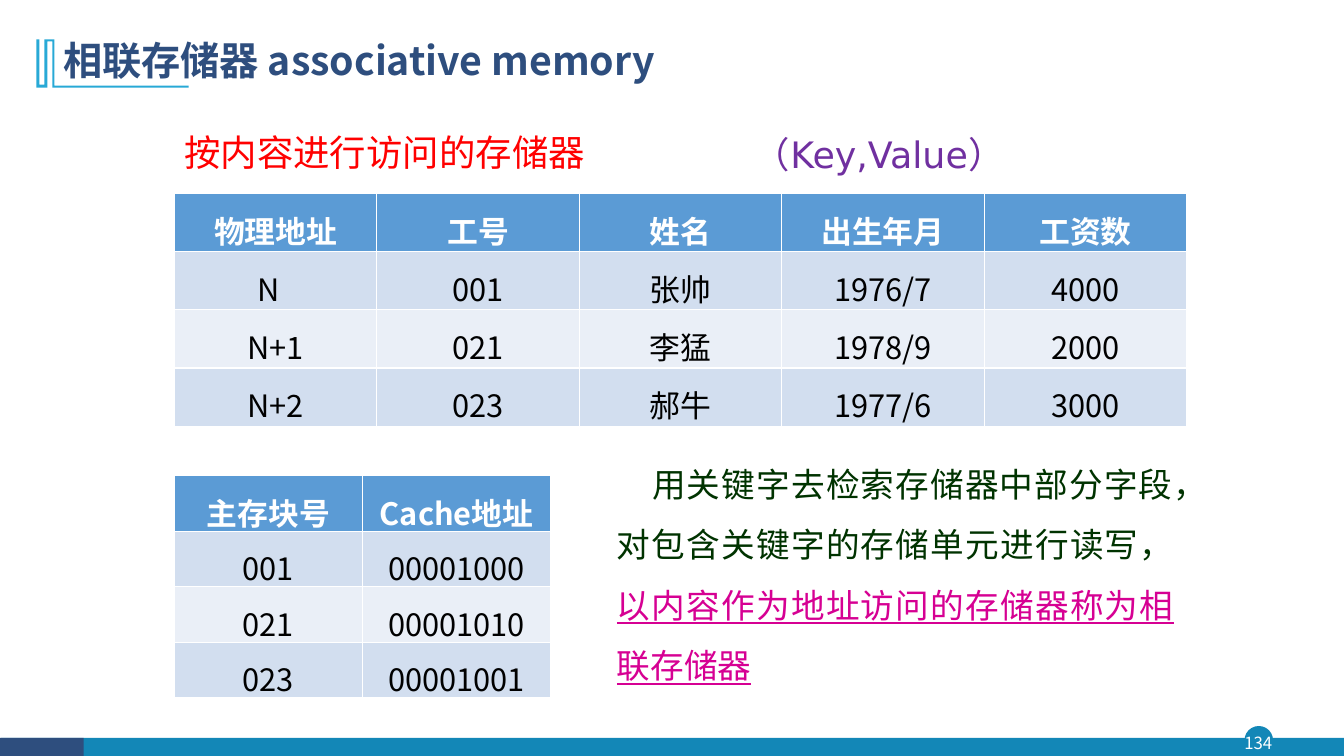
from lxml import etree
from pptx import Presentation
from pptx.dml.color import RGBColor
from pptx.enum.shapes import MSO_SHAPE
from pptx.enum.text import MSO_ANCHOR, PP_ALIGN
from pptx.oxml.ns import qn
from pptx.util import Inches, Pt

OVAL, RECTANGLE = MSO_SHAPE.OVAL, MSO_SHAPE.RECTANGLE
TOP, MIDDLE = MSO_ANCHOR.TOP, MSO_ANCHOR.MIDDLE
LEFT, CENTER, JUSTIFY = PP_ALIGN.LEFT, PP_ALIGN.CENTER, PP_ALIGN.JUSTIFY
NOTO, DEJAVU = "Noto Sans CJK SC", "DejaVu Sans"
TEAL, NAVY, SKY, WHITE = "1387B7", "2E4E7E", "28A9D6", "FFFFFF"


def color(value):
    return RGBColor.from_string(value)


def add_span(para, text, size, fill, bold=False, underline=False, face=NOTO):
    span = para.add_run()
    span.text = text
    font = span.font
    font.size = Pt(size)
    font.name = face
    font.bold = bold
    font.underline = underline
    font.color.rgb = color(fill)
    east_asian = etree.SubElement(span._r.get_or_add_rPr(), qn("a:ea"))
    east_asian.set("typeface", face)


deck = Presentation()
deck.slide_width = Inches(13.33)
deck.slide_height = Inches(7.5)
page = deck.slides.add_slide(deck.slide_layouts[6])

footer_shapes = [
    (OVAL, 12.35, 7.21, 0.27, 0.27, TEAL),
    (RECTANGLE, 0.01, 7.32, 13.32, 0.19, TEAL),
    (RECTANGLE, 0, 7.32, 0.83, 0.19, NAVY),
]
for preset, left, top, width, height, fill in footer_shapes:
    shape = page.shapes.add_shape(
        preset, Inches(left), Inches(top), Inches(width), Inches(height))
    shape.shadow.inherit = False
    shape.fill.solid()
    shape.fill.fore_color.rgb = color(fill)
    if preset == OVAL:
        shape.line.color.rgb = color(fill)
        shape.line.width = Pt(1)
    else:
        shape.line.fill.background()

bracket_points = [
    (0.54, 0.39), (0.54, 0.85), (1.87, 0.85), (1.87, 0.87), (0.52, 0.87),
    (0.52, 0.41), (0.47, 0.41), (0.47, 0.87), (0.36, 0.87), (0.36, 0.39),
    (0.39, 0.39), (0.39, 0.84), (0.44, 0.84), (0.44, 0.39),
]
outline = [(Inches(x), Inches(y)) for x, y in bracket_points]
builder = page.shapes.build_freeform(*outline[0])
builder.add_line_segments(outline[1:], close=True)
bracket = builder.convert_to_shape()
bracket.shadow.inherit = False
bracket.fill.solid()
bracket.fill.fore_color.rgb = color(SKY)
bracket.line.fill.background()

text_boxes = [
    (0.53, 0.28, 11.5, 0.68, MIDDLE, LEFT, 0.9,
     [("相联存储器 associative memory", 28, NAVY, True)]),
    (1.73, 1.29, 5.5, 0.67, TOP, LEFT, 0.9,
     [("按内容进行访问的存储器", 26, "FF0000")]),
    (7.38, 1.18, 3.56, 0.67, TOP, LEFT, 1.2,
     [("（Key,Value）", 26, "7030A0", False, False, DEJAVU)]),
    (6.02, 4.35, 5.72, 2.52, TOP, JUSTIFY, 1.5,
     [("用关键字去检索存储器中部分字段，对包含关键字的存储单元进行读写，", 24, "003300"),
      ("以内容作为地址访问的存储器称为相联存储器", 24, "D60093", False, True)]),
    (12.32, 7.21, 0.32, 0.31, MIDDLE, CENTER, 1.0, [("134", 12, WHITE)]),
]
for left, top, width, height, anchor, align, spacing, spans in text_boxes:
    box = page.shapes.add_textbox(
        Inches(left), Inches(top), Inches(width), Inches(height))
    frame = box.text_frame
    frame.word_wrap = True
    frame.vertical_anchor = anchor
    if align == CENTER:
        frame.margin_left = frame.margin_right = 0
        frame.margin_top = frame.margin_bottom = 0
    para = frame.paragraphs[0]
    para.alignment = align
    para.line_spacing = spacing
    if align == JUSTIFY:
        para._p.get_or_add_pPr().set("indent", str(Inches(0.35)))
    for span in spans:
        add_span(para, *span)

staff_rows = [
    ["物理地址", "工号", "姓名", "出生年月", "工资数"],
    ["N  ", "001", "张帅", "1976/7", "4000"],
    ["N+1", "021", "李猛", "1978/9", "2000"],
    ["N+2", "023", "郝牛", "1977/6", "3000"],
]
cache_rows = [
    ["主存块号", "Cache地址"],
    ["001", "00001000"],
    ["021", "00001010"],
    ["023", "00001001"],
]
row_fills = ["5B9BD5", "D2DEEF", "EAEFF7", "D2DEEF"]
tables = [(staff_rows, 1.92, 10.04, 2.31), (cache_rows, 4.72, 3.73, 2.2)]
for rows, top, width, height in tables:
    table = page.shapes.add_table(
        len(rows), len(rows[0]), Inches(1.73), Inches(top),
        Inches(width), Inches(height)).table
    for row_index, row in enumerate(rows):
        header = row_index == 0
        for column_index, text in enumerate(row):
            cell = table.cell(row_index, column_index)
            cell.fill.solid()
            cell.fill.fore_color.rgb = color(row_fills[row_index])
            para = cell.text_frame.paragraphs[0]
            para.alignment = CENTER
            para.line_spacing = 1.2
            add_span(para, text, 22, WHITE if header else "000000", header)

deck.save("out.pptx")
